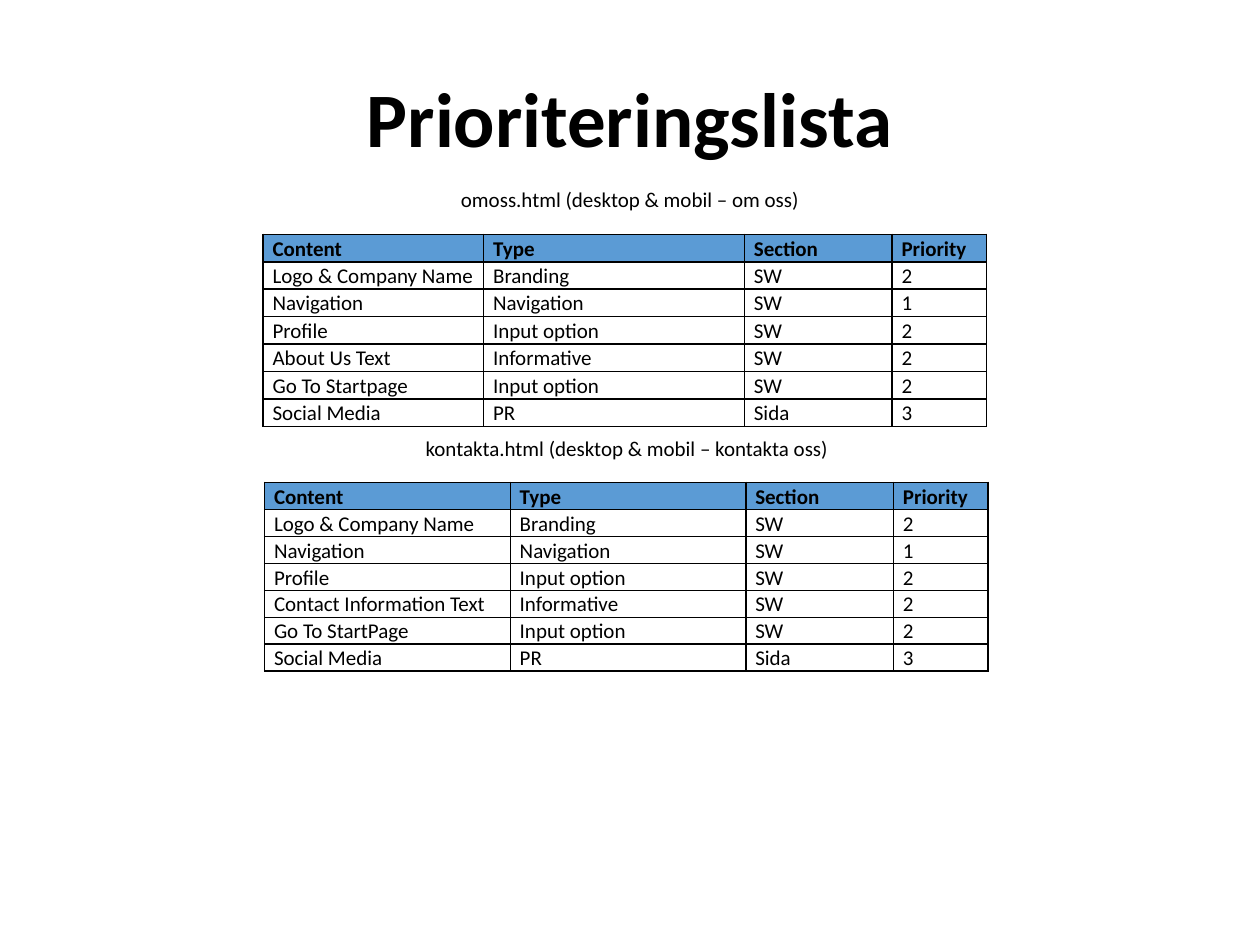
from lxml import etree
from pptx import Presentation
from pptx import util as u
from pptx.dml.color import RGBColor
from pptx.enum import text
from pptx.oxml import ns

Pt = u.Pt
BLACK = RGBColor(0x00, 0x00, 0x00)
HEADER_BLUE = RGBColor(0x5B, 0x9B, 0xD5)
FONT = {"name": "Calibri", "size": Pt(12), "bold": False}
CELL = {"margin_left": Pt(5.4), "margin_right": Pt(5.4),
        "margin_top": 0, "margin_bottom": 0}
HEADER = ("Content", "Type", "Section", "Priority")


def write(p, words, **changes):
    r = p.add_run()
    r.text = words
    for name, value in {**FONT, **changes}.items():
        setattr(r.font, name, value)
    r.font.color.rgb = BLACK


def add_borders(cell):
    tcPr = cell._tc.get_or_add_tcPr()
    for i, side in enumerate(("lnL", "lnR", "lnT", "lnB")):
        ln = etree.Element(ns.qn(f"a:{side}"), w=str(Pt(1)))
        fill = etree.SubElement(ln, ns.qn("a:solidFill"))
        etree.SubElement(fill, ns.qn("a:srgbClr"), val=str(BLACK))
        tcPr.insert(i, ln)


prs = Presentation()
prs.slide_width, prs.slide_height = Pt(720), Pt(540)
slide = prs.slides.add_slide(prs.slide_layouts[5])

title = slide.shapes.title
title.left, title.top, title.width, title.height = Pt(36), Pt(21.6), Pt(648), Pt(90)
tf = title.text_frame
tf.vertical_anchor = text.MSO_ANCHOR.MIDDLE
p = tf.paragraphs[0]
p.alignment = text.PP_ALIGN.CENTER
write(p, "Prioriteringslista", size=Pt(44), bold=True)

# caption, caption top, right inset, table left, table top, row height,
# column widths, text page label, start page label
sections = [
    ("omoss.html (desktop & mobil – om oss)", 106.5, 7.2, 150.4, 133.9, 15.67,
     (126, 149, 84.4, 54), "About Us Text", "Go To Startpage"),
    ("kontakta.html (desktop & mobil – kontakta oss)", 248.7, 10.6, 151.2, 275.6, 15.43,
     (140.4, 134.6, 84.4, 54), "Contact Information Text", "Go To StartPage"),
]

for (caption, caption_top, right_inset, left, top, row_height,
     widths, text_label, start_label) in sections:
    rows = [
        HEADER,
        ("Logo & Company Name", "Branding", "SW", "2"),
        ("Navigation", "Navigation", "SW", "1"),
        ("Profile", "Input option", "SW", "2"),
        (text_label, "Informative", "SW", "2"),
        (start_label, "Input option", "SW", "2"),
        ("Social Media", "PR", "Sida", "3"),
    ]
    frame = slide.shapes.add_table(len(rows), len(HEADER), Pt(left), Pt(top),
                                   Pt(sum(widths)), Pt(row_height * len(rows)))
    table = frame.table
    table.horz_banding = False
    for column, width in zip(table.columns, widths):
        column.width = Pt(width)
    for i, row in enumerate(rows):
        table.rows[i].height = Pt(row_height)
        for j, words in enumerate(row):
            cell = table.cell(i, j)
            for name, value in CELL.items():
                setattr(cell, name, value)
            if i == 0:
                cell.fill.solid()
                cell.fill.fore_color.rgb = HEADER_BLUE
            else:
                cell.fill.background()
            add_borders(cell)
            p = cell.text_frame.paragraphs[0]
            p.line_spacing = 1.07
            write(p, words, bold=i == 0)

    sp = slide.shapes.add_textbox(0, Pt(caption_top), prs.slide_width, Pt(15))
    tf = sp.text_frame
    tf.word_wrap = True
    tf.margin_top = tf.margin_bottom = 0
    tf.margin_right = Pt(right_inset)
    p = tf.paragraphs[0]
    p.alignment = text.PP_ALIGN.CENTER
    write(p, caption)

prs.save("out.pptx")
